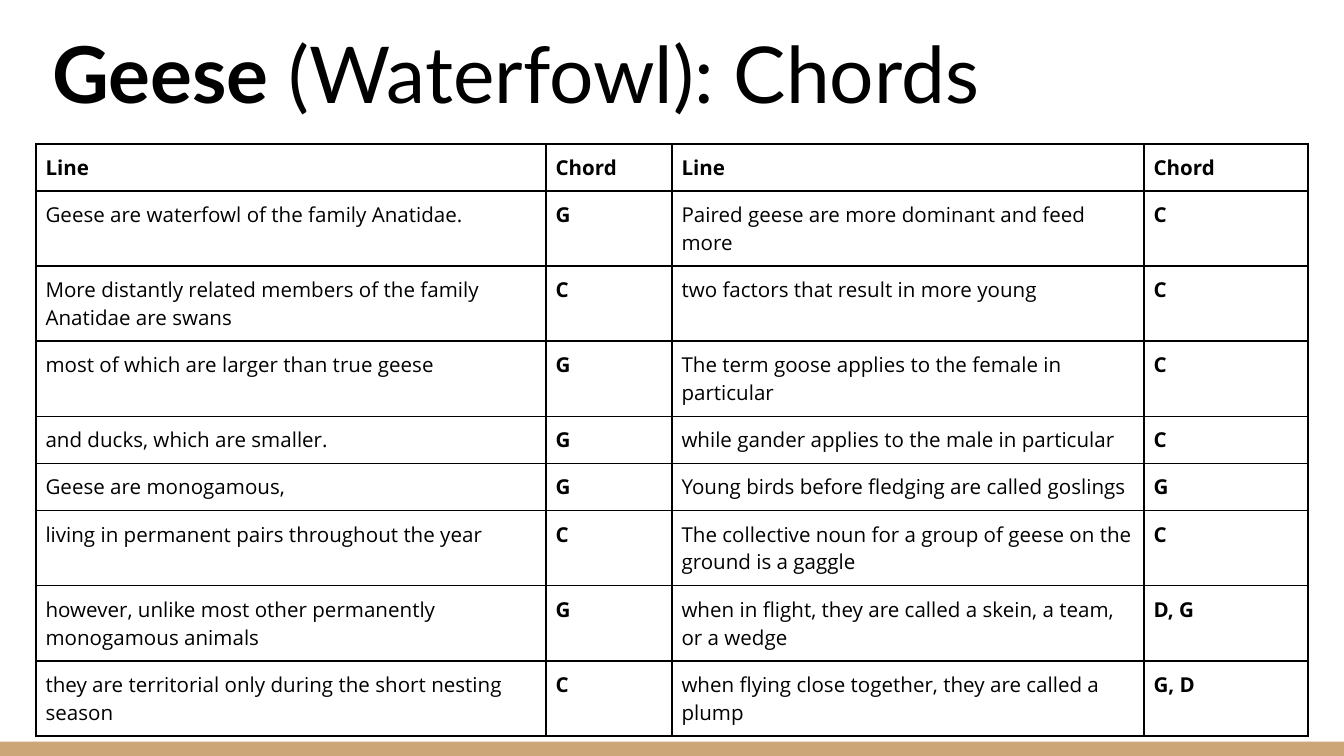
from lxml import etree
from pptx import Presentation
from pptx.dml.color import RGBColor
from pptx.enum.shapes import MSO_SHAPE
from pptx.enum.text import MSO_ANCHOR
from pptx.oxml.ns import qn
from pptx.util import Cm, Pt

RECTANGLE = MSO_SHAPE.RECTANGLE
BOTTOM = MSO_ANCHOR.BOTTOM

THEME = {
    "ink": "000000",
    "band": "CCA677",
    "title_font": "Lato",
    "body_font": "Open Sans",
    "title_size": 42,
    "body_size": 11,
    "border": 1,
}

TITLE = [("Geese", True), (" (Waterfowl): Chords", False)]
HEADER = ("Line", "Chord")
LEFT_LINES = [
    ("Geese are waterfowl of the family Anatidae.", "G"),
    ("More distantly related members of the family Anatidae are swans", "C"),
    ("most of which are larger than true geese", "G"),
    ("and ducks, which are smaller.", "G"),
    ("Geese are monogamous,", "G"),
    ("living in permanent pairs throughout the year", "C"),
    ("however, unlike most other permanently monogamous animals", "G"),
    ("they are territorial only during the short nesting season", "C"),
]
RIGHT_LINES = [
    ("Paired geese are more dominant and feed more", "C"),
    ("two factors that result in more young", "C"),
    ("The term goose applies to the female in particular", "C"),
    ("while gander applies to the male in particular", "C"),
    ("Young birds before fledging are called goslings", "G"),
    ("The collective noun for a group of geese on the ground is a gaggle", "C"),
    ("when in flight, they are called a skein, a team, or a wedge", "D, G"),
    ("when flying close together, they are called a plump", "G, D"),
]
LINES_PER_ROW = [1, 2, 2, 2, 1, 1, 2, 2, 2]

SLIDE_W, SLIDE_H = 25.4, 14.29
BAND_H = 0.27
COL_WIDTHS = [9.64, 2.38, 8.92, 3.1]
LINE_H = 0.53
CELL_INSET = 0.18
TITLE_INSET = 0.25
ROW_HEIGHTS = [n * LINE_H + 2 * CELL_INSET for n in LINES_PER_ROW]


def set_insets(target, inset):
    target.margin_left = target.margin_right = Cm(inset)
    target.margin_top = target.margin_bottom = Cm(inset)


def format_run(r, font, size, bold):
    r.font.name = font
    r.font.size = Pt(size)
    r.font.bold = bold
    r.font.color.rgb = RGBColor.from_string(THEME["ink"])


def add_borders(cell):
    tc_pr = cell._tc.get_or_add_tcPr()
    for i, side in enumerate(("lnL", "lnR", "lnT", "lnB")):
        ln = etree.Element(qn(f"a:{side}"), w=str(Pt(THEME["border"])))
        fill = etree.SubElement(ln, qn("a:solidFill"))
        etree.SubElement(fill, qn("a:srgbClr"), val=THEME["ink"])
        tc_pr.insert(i, ln)


def add_band(s):
    sp = s.shapes.add_shape(
        RECTANGLE, 0, Cm(SLIDE_H - BAND_H), Cm(SLIDE_W), Cm(BAND_H)
    )
    sp.shadow.inherit = False
    sp.fill.solid()
    sp.fill.fore_color.rgb = RGBColor.from_string(THEME["band"])
    sp.line.fill.background()


def add_title(s):
    sp = s.shapes.add_textbox(Cm(0.74), Cm(0.2), Cm(23.88), Cm(2.31))
    tf = sp.text_frame
    tf.word_wrap = True
    tf.vertical_anchor = BOTTOM
    set_insets(tf, TITLE_INSET)
    for text, bold in TITLE:
        r = tf.paragraphs[0].add_run()
        r.text = text
        format_run(r, THEME["title_font"], THEME["title_size"], bold)


def add_chord_table(s):
    rows = [HEADER + HEADER]
    rows += [left + right for left, right in zip(LEFT_LINES, RIGHT_LINES)]
    table = s.shapes.add_table(
        len(rows), len(COL_WIDTHS), Cm(0.68), Cm(2.72),
        Cm(sum(COL_WIDTHS)), Cm(sum(ROW_HEIGHTS)),
    ).table
    table.first_row = table.horz_banding = False
    for column, width in zip(table.columns, COL_WIDTHS):
        column.width = Cm(width)
    for i, (values, height) in enumerate(zip(rows, ROW_HEIGHTS)):
        table.rows[i].height = Cm(height)
        for j, value in enumerate(values):
            cell = table.cell(i, j)
            cell.text_frame.text = value
            set_insets(cell, CELL_INSET)
            cell.fill.background()
            add_borders(cell)
            bold = i == 0 or j % 2 == 1
            r = cell.text_frame.paragraphs[0].runs[0]
            format_run(r, THEME["body_font"], THEME["body_size"], bold)


def main():
    prs = Presentation()
    prs.slide_width, prs.slide_height = Cm(SLIDE_W), Cm(SLIDE_H)
    s = prs.slides.add_slide(prs.slide_layouts[6])
    add_band(s)
    add_title(s)
    add_chord_table(s)
    prs.save("out.pptx")


if __name__ == "__main__":
    main()
